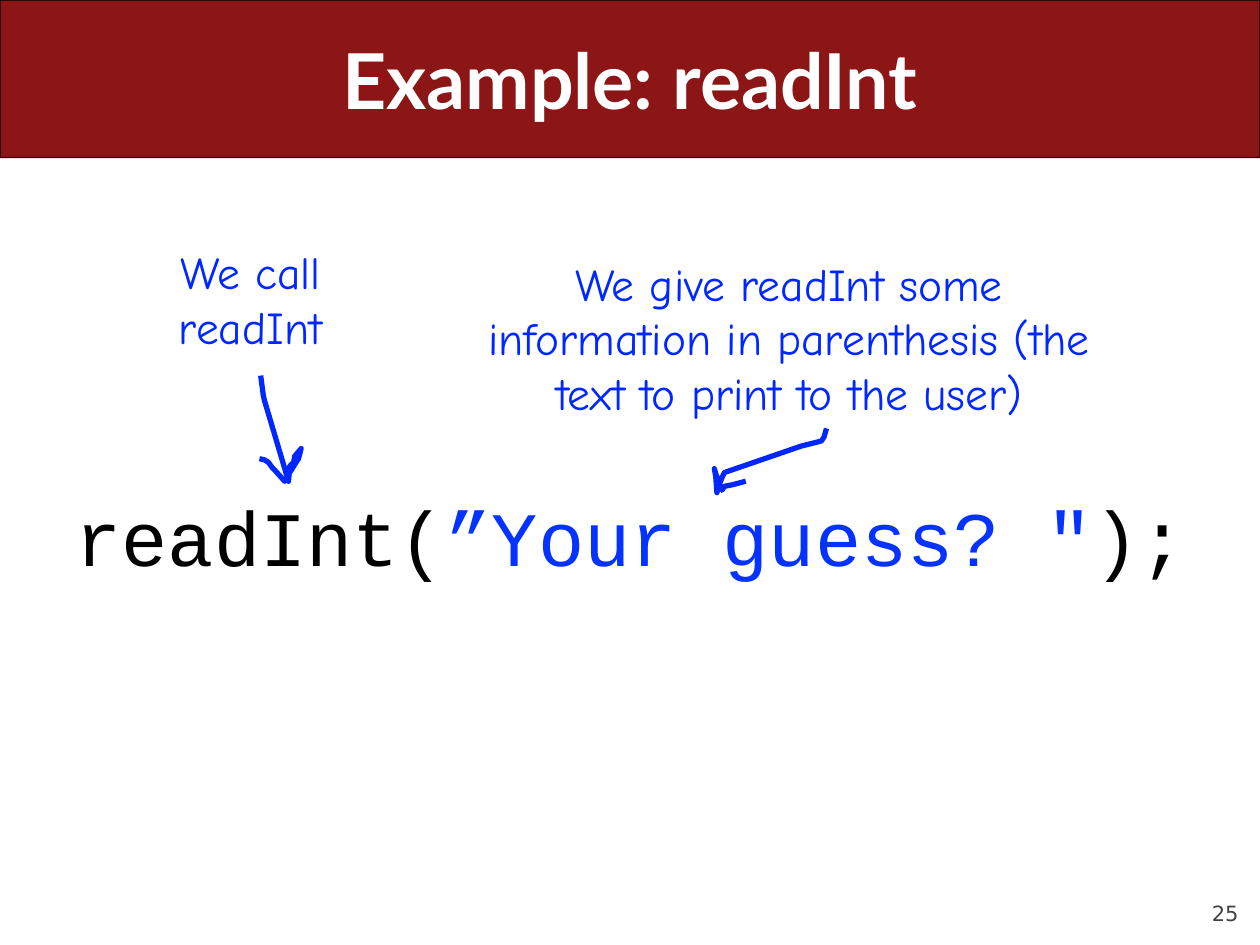
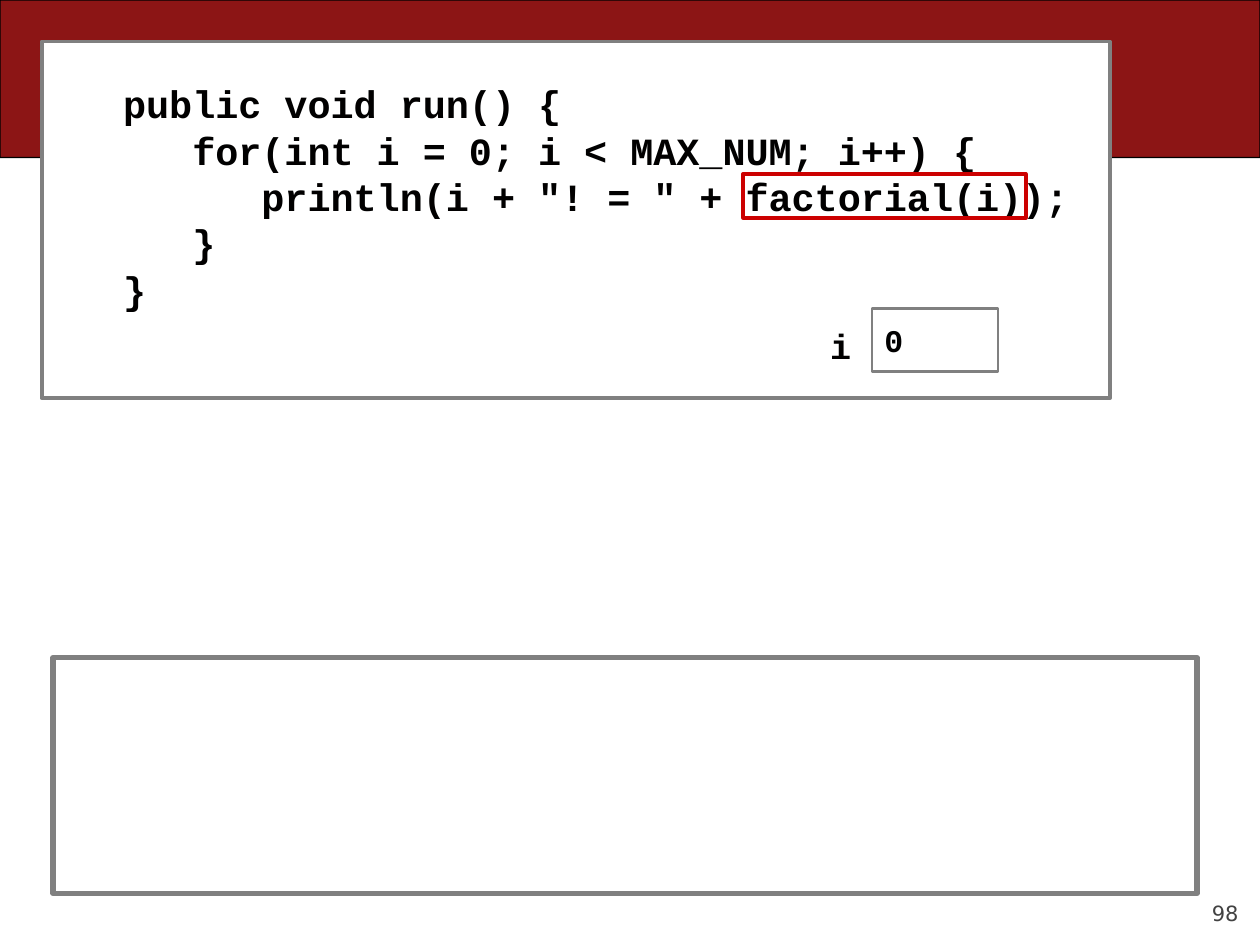
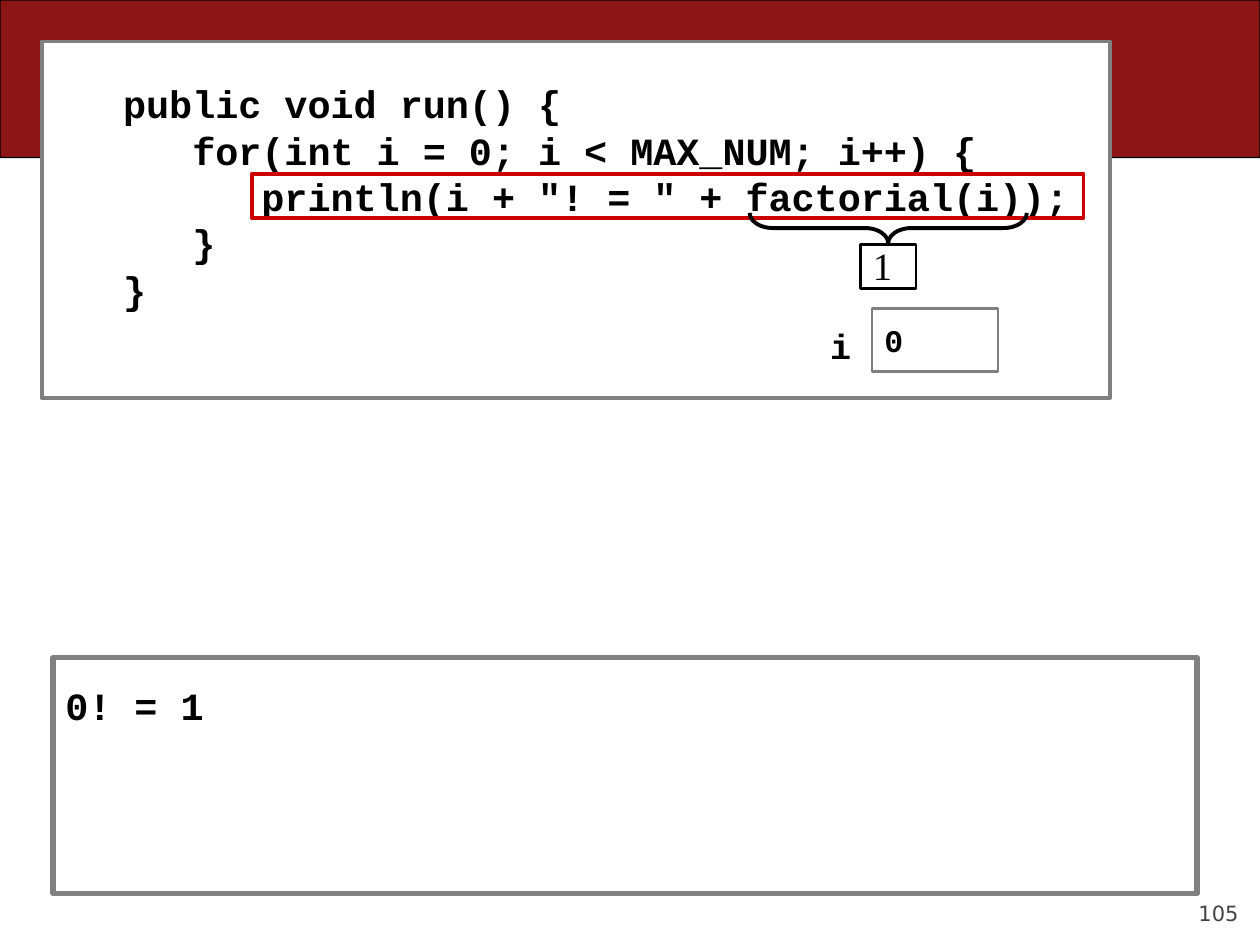
from lxml.etree import SubElement
from pptx import Presentation
from pptx.dml.color import RGBColor
from pptx.enum.shapes import MSO_SHAPE
from pptx.enum.text import MSO_ANCHOR, PP_ALIGN
from pptx.oxml.ns import qn
from pptx.util import Pt

COLORS = {
    "band": "8C1515", "black": "000000", "white": "FFFFFF", "code": "010000",
    "string": "0432FF", "ink": "0027FF", "frame": "808080",
    "highlight": "CC0000", "number": "424242",
}
TITLE_FONT, CODE_FONT, NOTE_FONT = "Lato", "Courier New", "Comic Neue"
NUMBER_FONT, VALUE_FONT = "DejaVu Sans", "Times New Roman"
WIDTH, HEIGHT, BAND_HEIGHT = 720, 540, 90
LINE_PITCH = 26.5

CALL_TITLE = "Example: readInt"
CALL_PARTS = [("readInt(", "black"), ("”Your guess? \"", "string"), (");", "black")]
CALL_NOTES = [
    ("We give readInt some information in parenthesis (the text to print to the user)",
     (264.24, 142.56, 373.68, 101.52)),
    ("We call readInt", (59.76, 136.08, 167.04, 70.56)),
]
INK_ARROWS = [
    [(149, 214.6), (150.5, 226), (151.2, 229), (164.9, 275), (165.6, 266.4),
     (167.8, 264.2), (168.5, 260.6), (172.1, 256.3), (170.6, 262.1),
     (169.2, 264.2), (165.6, 270), (164.2, 272.2), (162.7, 275), (157, 268.6),
     (155.5, 267.1), (153.4, 264.2), (151.2, 262.8), (148.3, 262.1)],
    [(472.3, 244.8), (470.9, 249.8), (469.4, 252), (457.9, 254.9), (414, 270),
     (412.6, 272.9), (410.4, 278.6), (409.7, 281.5), (409, 272.2),
     (408.2, 267.8), (409, 270.7), (412.6, 280.1), (414, 277.9),
     (417.6, 277.2), (420.5, 276.5), (426.2, 275)],
]
RUN_METHOD = [
    "   public void run() {",
    "      for(int i = 0; i < MAX_NUM; i++) {",
    "         println(i + \"! = \" + factorial(i));",
    "      }",
    "   }",
]
TRACE_STEPS = [
    {"number": 98, "highlight": (424.8, 161.3), "i": "0", "result": None, "console": []},
    {"number": 105, "highlight": (144, 475.2), "i": "0", "result": "1",
     "console": ["0! = 1"]},
]


def color(name):
    return RGBColor.from_string(COLORS[name])


def style(paragraph, size, font, tint=None, bold=False, align=None):
    paragraph.font.size = Pt(size)
    paragraph.font.name = font
    paragraph.font.bold = bold
    if tint:
        paragraph.font.color.rgb = color(tint)
    paragraph.alignment = align


def place(shape, box):
    shape.left, shape.top, shape.width, shape.height = map(Pt, box)


def write(shape, lines, size, font, tint="code", bold=False, align=PP_ALIGN.LEFT,
          anchor=MSO_ANCHOR.MIDDLE, margins=(7.2, 3.6, 7.2, 3.6), pitch=None):
    """Fill the shape with one paragraph per line; margins run left, top, right, bottom."""
    frame = shape.text_frame
    frame.word_wrap = True
    frame.vertical_anchor = anchor
    (frame.margin_left, frame.margin_top,
     frame.margin_right, frame.margin_bottom) = map(Pt, margins)
    for index, line in enumerate(lines):
        paragraph = frame.paragraphs[0] if index == 0 else frame.add_paragraph()
        paragraph.add_run().text = line
        style(paragraph, size, font, tint, bold, align)
        if pitch:
            paragraph.line_spacing = Pt(pitch)


def add_label(slide, box, lines, size, font, **options):
    write(slide.shapes.add_textbox(*map(Pt, box)), lines, size, font, **options)


def outline(shape, line, weight, fill=None):
    shape.shadow.inherit = False
    shape.line.color.rgb = color(line)
    shape.line.width = Pt(weight)
    if fill:
        shape.fill.solid()
        shape.fill.fore_color.rgb = color(fill)
    else:
        shape.fill.background()
    return shape


def add_box(slide, box, line, weight, fill=None, kind=MSO_SHAPE.RECTANGLE):
    return outline(slide.shapes.add_shape(kind, *map(Pt, box)), line, weight, fill)


def add_slide(deck, layout_index, number):
    """Add a slide with the red band behind everything and its page number."""
    slide = deck.slides.add_slide(deck.slide_layouts[layout_index])
    band = add_box(slide, (0, 0, WIDTH, BAND_HEIGHT), "black", 0.75, "band",
                   MSO_SHAPE.ROUNDED_RECTANGLE)
    band.adjustments[0] = 0.001
    slide.shapes._spTree.insert(2, band._element)
    add_label(slide, (648, 500.4, 59.76, 28.8), [str(number)], 12, NUMBER_FONT,
              tint="number", align=PP_ALIGN.RIGHT, anchor=MSO_ANCHOR.BOTTOM,
              margins=(0, 0, 0, 0))
    return slide


def add_call_slide(deck):
    slide = add_slide(deck, 1, 25)
    title, call = slide.placeholders
    place(title, (36, 0, 648, BAND_HEIGHT))
    write(title, [CALL_TITLE], 44, TITLE_FONT, "white", True, PP_ALIGN.CENTER)

    place(call, (12.24, 102.24, 696.24, 408.24))
    call.text_frame.vertical_anchor = MSO_ANCHOR.MIDDLE
    statement = call.text_frame.paragraphs[0]
    properties = statement._p.get_or_add_pPr()
    properties.set("marL", "0")
    properties.set("indent", "0")
    SubElement(properties, qn("a:buNone"))
    style(statement, 44, CODE_FONT, align=PP_ALIGN.CENTER)
    statement.space_before = Pt(0)
    for text, tint in CALL_PARTS:
        part = statement.add_run()
        part.text = text
        part.font.color.rgb = color(tint)

    for text, box in CALL_NOTES:
        add_label(slide, box, [text], 26, NOTE_FONT, tint="ink",
                  align=PP_ALIGN.CENTER, anchor=MSO_ANCHOR.TOP)
    for stroke in INK_ARROWS:
        start, *rest = [(Pt(x), Pt(y)) for x, y in stroke]
        builder = slide.shapes.build_freeform(*start)
        builder.add_line_segments(rest, close=False)
        outline(builder.convert_to_shape(), "ink", 3)


def add_trace_slide(deck, step):
    slide = add_slide(deck, 6, step["number"])
    # The blank title is not used on trace slides.
    for placeholder in list(slide.placeholders):
        placeholder._element.getparent().remove(placeholder._element)

    method = add_box(slide, (23.76, 23.76, 610.56, 203.76), "frame", 2.25, "white")
    write(method, RUN_METHOD, 22, CODE_FONT, bold=True, anchor=MSO_ANCHOR.TOP,
          margins=(7.2, 22, 7.2, 3.6), pitch=LINE_PITCH)
    variable = add_box(slide, (498.24, 176.4, 72, 36), "frame", 1.5, "white")
    write(variable, [step["i"]], 18, CODE_FONT, bold=True)
    add_label(slide, (467.28, 182.16, 36, 30.96), ["i"], 20, CODE_FONT, bold=True,
              anchor=MSO_ANCHOR.TOP)

    left, width = step["highlight"]
    add_box(slide, (left, 99.36, width, 25.2), "highlight", 2.25)
    if step["result"]:
        brace = add_box(slide, (498.96, 51.12, 17.28, 158.4), "black", 2.25,
                        kind=MSO_SHAPE.LEFT_BRACE)
        brace.rotation = 270
        brace.adjustments[0] = 0.772
        result = add_box(slide, (491.76, 139.68, 31.68, 25.2), "black", 1.5)
        write(result, [step["result"]], 22, VALUE_FONT, margins=(7.2, 1.44, 7.2, 3.6))

    console = add_box(slide, (30.24, 375.84, 653.76, 134.64), "frame", 3, "white")
    if step["console"]:
        write(console, step["console"], 22, CODE_FONT, bold=True,
              anchor=MSO_ANCHOR.TOP, margins=(7.2, 14, 7.2, 3.6), pitch=LINE_PITCH)


def main():
    deck = Presentation()
    deck.slide_width, deck.slide_height = Pt(WIDTH), Pt(HEIGHT)
    add_call_slide(deck)
    for step in TRACE_STEPS:
        add_trace_slide(deck, step)
    deck.save("out.pptx")


if __name__ == "__main__":
    main()
